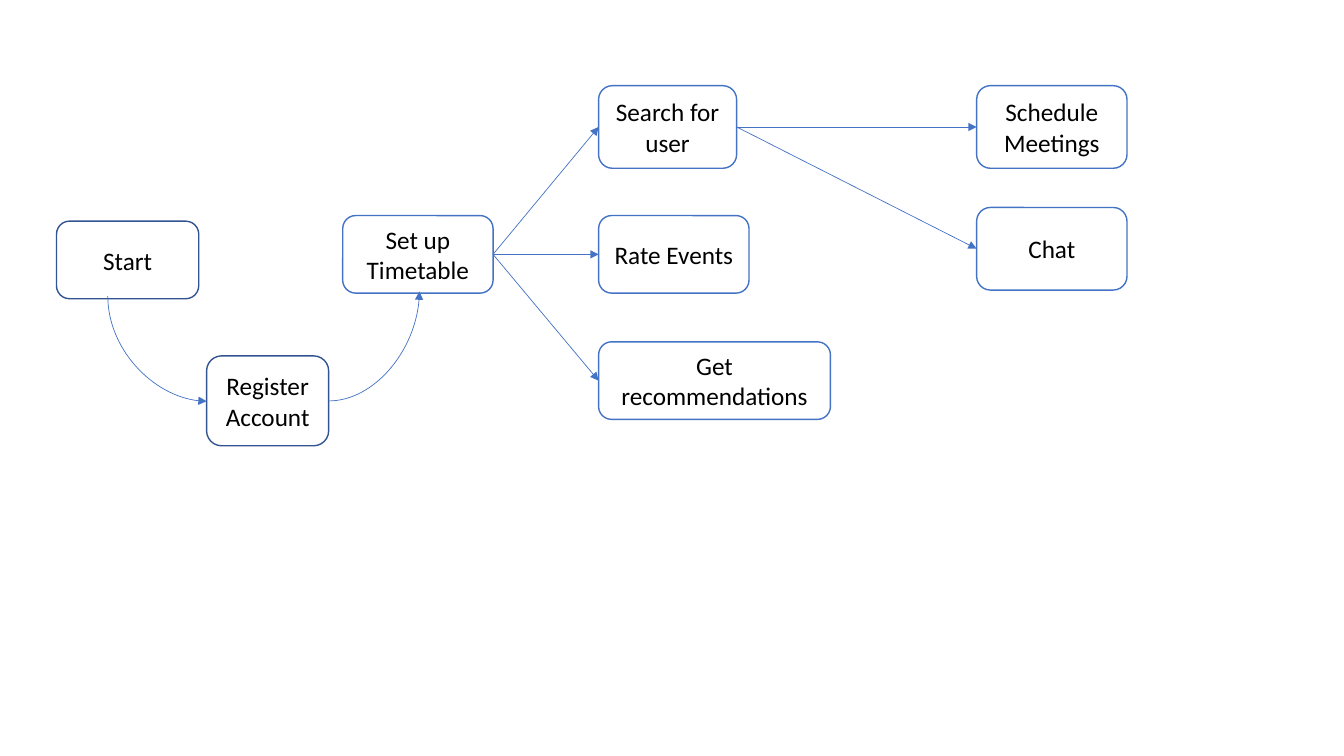
"""Build a slide with the user flow of an event timetable app."""
from lxml import etree
from pptx import Presentation
from pptx.dml.color import RGBColor
from pptx.enum.shapes import MSO_CONNECTOR, MSO_SHAPE
from pptx.enum.text import MSO_ANCHOR, PP_ALIGN
from pptx.oxml.ns import qn
from pptx.util import Pt

ROUNDED = MSO_SHAPE.ROUNDED_RECTANGLE
STRAIGHT = MSO_CONNECTOR.STRAIGHT
CURVE = MSO_CONNECTOR.CURVE
MIDDLE = MSO_ANCHOR.MIDDLE
CENTER = PP_ALIGN.CENTER
WHITE = RGBColor(0xFF, 0xFF, 0xFF)
BLACK = RGBColor(0x00, 0x00, 0x00)
BLUE = RGBColor(0x44, 0x72, 0xC4)
DARK_BLUE = RGBColor(0x32, 0x54, 0x91)
LEFT_SITE, RIGHT_SITE = 1, 3

prs = Presentation()
prs.slide_width, prs.slide_height = Pt(960), Pt(540)
s = prs.slides.add_slide(prs.slide_layouts[6])


def add_arrow(kind, x1, y1, x2, y2):
    """Add a thin blue arrow between two points."""
    c = s.shapes.add_connector(kind, Pt(x1), Pt(y1), Pt(x2), Pt(y2))
    c.line.color.rgb = BLUE
    c.line.width = Pt(0.5)
    etree.SubElement(c.line._get_or_add_ln(), qn("a:tailEnd"), type="triangle")
    etree.SubElement(c._element.spPr, qn("a:effectLst"))
    return c


steps = [
    ("Start", 40.4, 158, 101.6, 55.4, DARK_BLUE),
    ("Register Account", 147.6, 254.2, 87.2, 64.2, DARK_BLUE),
    ("Set up Timetable", 244.8, 154, 107.4, 55.4, BLUE),
    ("Search for user", 427.6, 61.2, 98.6, 59, BLUE),
    ("Rate Events", 427.6, 154, 107.4, 55.4, BLUE),
    ("Get recommendations", 427.6, 244.2, 165.6, 55.4, BLUE),
    ("Schedule Meetings", 697.6, 61.2, 107.4, 59, BLUE),
    ("Chat", 697.6, 148.2, 107.4, 59, BLUE),
]
boxes = {}
for name, x, y, w, h, color in steps:
    sp = s.shapes.add_shape(ROUNDED, Pt(x), Pt(y), Pt(w), Pt(h))
    sp.shadow.inherit = False
    sp.fill.solid()
    sp.fill.fore_color.rgb = WHITE
    sp.line.color.rgb = color
    sp.line.width = Pt(1)
    tf = sp.text_frame
    tf.word_wrap = True
    tf.vertical_anchor = MIDDLE
    tf.text = name
    p = tf.paragraphs[0]
    p.alignment = CENTER
    r = p.runs[0]
    r.font.name = "Calibri"
    r.font.size = Pt(18)
    r.font.color.rgb = BLACK
    boxes[name] = sp

branches = {
    "Set up Timetable": ["Search for user", "Rate Events", "Get recommendations"],
    "Search for user": ["Schedule Meetings", "Chat"],
}
for source, targets in branches.items():
    for target in targets:
        arrow = add_arrow(STRAIGHT, 0, 0, 0, 0)
        arrow.begin_connect(boxes[source], RIGHT_SITE)
        arrow.end_connect(boxes[target], LEFT_SITE)

to_register = add_arrow(CURVE, 149.8, 213.8, 74.8, 284.4)
to_register._element.spPr.find(qn("a:xfrm")).set("rot", "16200000")
to_timetable = add_arrow(CURVE, 234.8, 286.4, 299.6, 208.2)
for arrow in (to_register, to_timetable):
    arrow._element.spPr.find(qn("a:prstGeom")).set("prst", "curvedConnector2")

prs.save("out.pptx")
